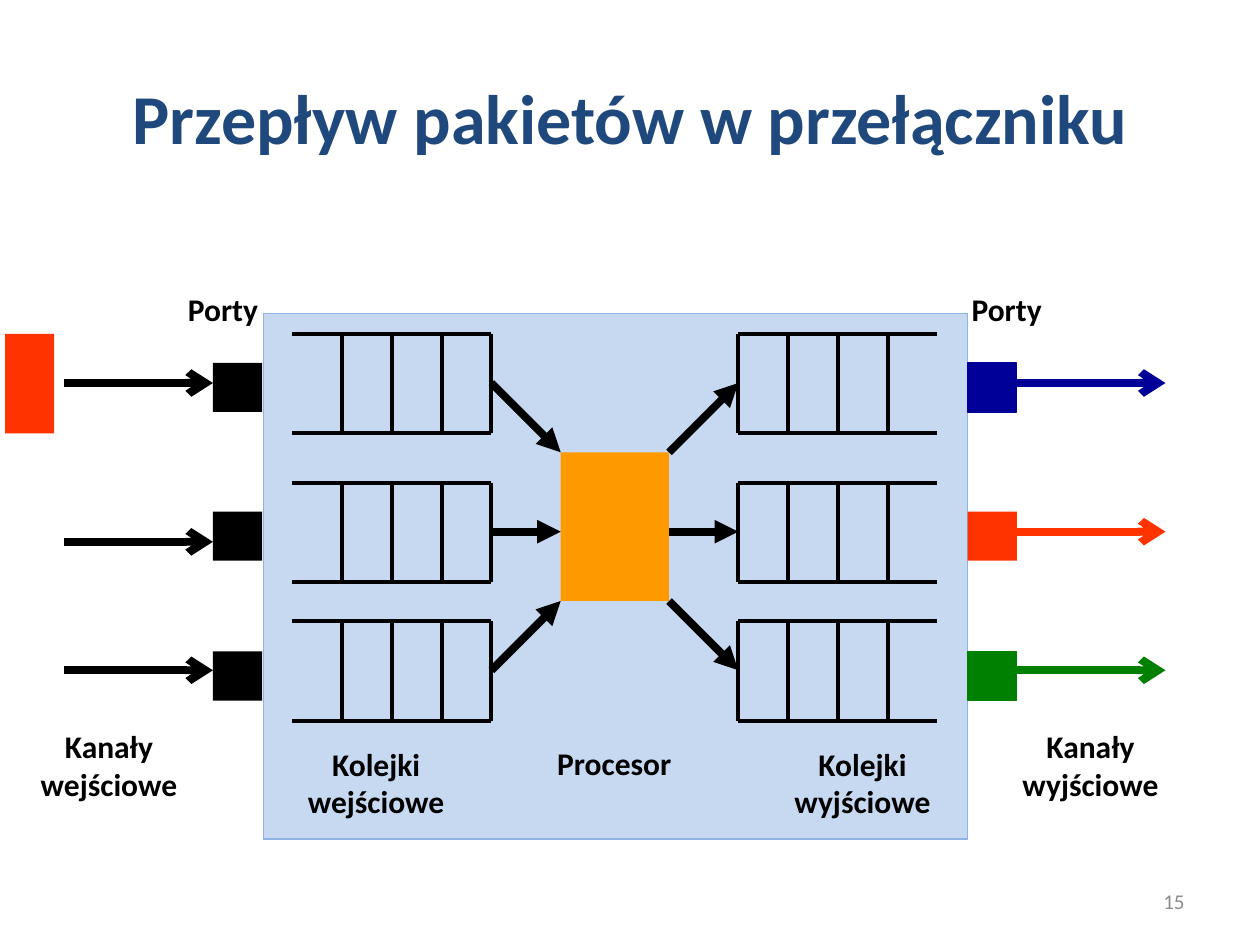
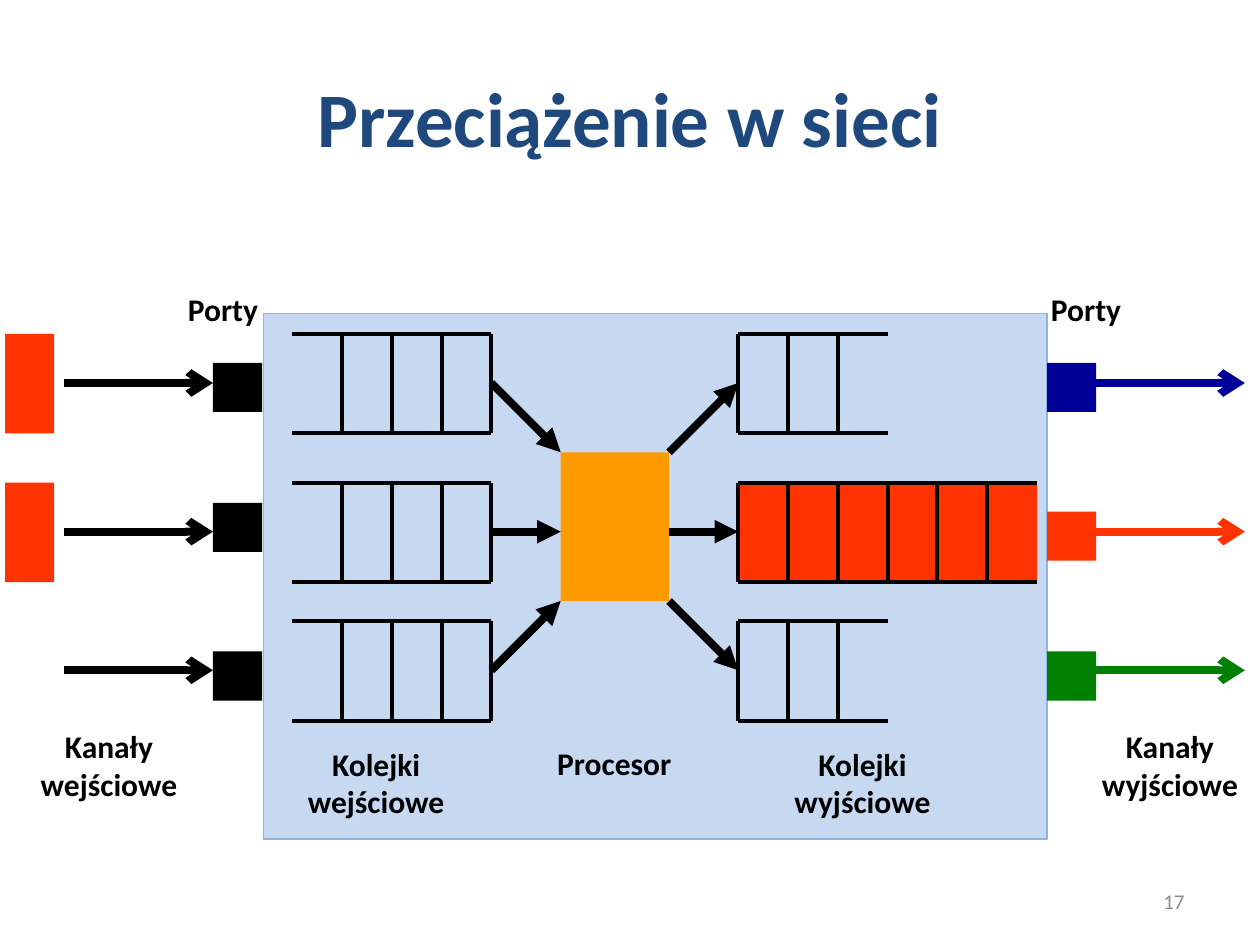
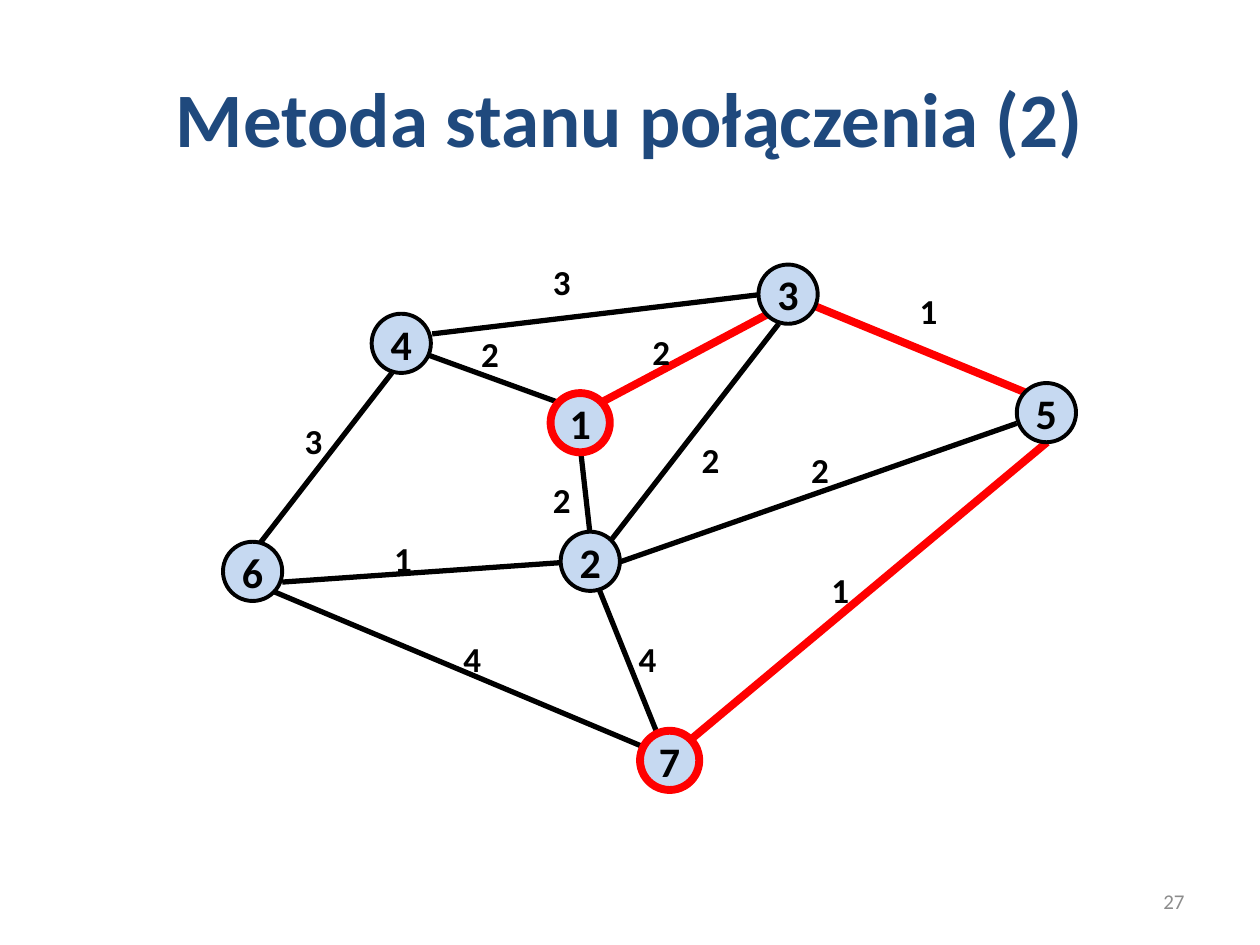
from dataclasses import dataclass

from lxml.etree import SubElement
from pptx import Presentation
from pptx.dml.color import RGBColor
from pptx.enum.shapes import MSO_CONNECTOR, MSO_SHAPE
from pptx.enum.text import MSO_ANCHOR, PP_ALIGN
from pptx.oxml.ns import qn
from pptx.presentation import Presentation as Deck
from pptx.shapes.autoshape import Shape
from pptx.shapes.shapetree import _BaseGroupShapes as Shapes
from pptx.slide import Slide
from pptx.text.text import TextFrame
from pptx.util import Inches, Pt

FONT = "Calibri"
NAVY = RGBColor(0x1F, 0x49, 0x7D)
PALE = RGBColor(0xC6, 0xD9, 0xF1)
SKY = RGBColor(0x8E, 0xB4, 0xE3)
GREY = RGBColor(0x8C, 0x8C, 0x8C)
BLACK = RGBColor(0x00, 0x00, 0x00)
BLUE = RGBColor(0x00, 0x00, 0x99)
GREEN = RGBColor(0x00, 0x80, 0x00)
FLAME = RGBColor(0xFF, 0x33, 0x00)
AMBER = RGBColor(0xFF, 0x99, 0x00)
RED = RGBColor(0xFF, 0x00, 0x00)

Point = tuple[float, float]
Frame = tuple[float, float, float, float]

CELL = 1.58 / 4
TALL = 0.79
PORT = 0.39
SPAN = 1.18
NODE = 0.47
LEFT = 2.09
QUEUE_IN = 2.32
QUEUE_OUT = 5.86
CORE: Frame = (4.45, 3.59, 0.86, 1.18)
ROWS = (2.65, 3.83, 4.93)
MIDS = (3.04, 4.22, 5.32)
PORTS = (2.88, 4.06, 5.17)
JOINS = (3.59, 4.22, 4.77)
HUES = (BLUE, FLAME, GREEN)


@dataclass(frozen=True)
class Switch:
    title: str
    size: int
    page: int
    edge: float
    ports: tuple[float, ...]
    feeds: tuple[float, ...]
    cells: tuple[int, ...]
    packets: tuple[float, ...]
    lined: tuple[RGBColor, ...] = ()
    full: int | None = None


@dataclass(frozen=True)
class Link:
    start: Point
    end: Point
    cost: str
    spot: Point
    hot: bool = False


@dataclass(frozen=True)
class Node:
    name: str
    spot: Point
    hot: bool = False


SWITCHES = (
    Switch("Przepływ pakietów w przełączniku", 40, 15, 7.68, PORTS,
           (3.04, 4.3, 5.32), (4, 4, 4), ROWS[:1], lined=(BLUE, GREEN)),
    Switch("Przeciążenie w sieci", 44, 17, 8.31, (2.88, 3.99, 5.17),
           MIDS, (3, 6, 3), ROWS[:2], full=1),
)

LINKS = (
    Link((3.35, 2.8), (4.45, 3.2), "2", (3.72, 2.59)),
    Link((4.61, 3.59), (4.69, 4.3), "2", (4.29, 3.75)),
    Link((6.18, 2.57), (4.84, 4.3), "2", (5.47, 3.43)),
    Link((3.11, 2.96), (2.01, 4.38), "3", (2.32, 3.28)),
    Link((6.1, 2.33), (3.43, 2.65), "3", (4.29, 2.02)),
    Link((4.53, 4.46), (2.24, 4.62), "1", (3.03, 4.22)),
    Link((8.07, 3.36), (4.92, 4.46), "2", (6.34, 3.51)),
    Link((5.24, 5.88), (4.76, 4.69), "4", (4.97, 5.01)),
    Link((5.16, 5.95), (2.16, 4.69), "4", (3.58, 5.01)),
    Link((4.76, 3.2), (6.1, 2.49), "2", (5.08, 2.57), hot=True),
    Link((8.15, 3.12), (6.42, 2.41), "1", (7.2, 2.25), hot=True),
    Link((8.31, 3.51), (5.47, 5.88), "1", (6.5, 4.46), hot=True),
)

NODES = (
    Node("1", (4.37, 3.12), hot=True),
    Node("2", (4.45, 4.22)),
    Node("3", (6.02, 2.1)),
    Node("4", (2.95, 2.49)),
    Node("5", (8.07, 3.04)),
    Node("6", (1.77, 4.3)),
    Node("7", (5.08, 5.8), hot=True),
)


def write(frame: TextFrame, text: str, size: int, hue: RGBColor = BLACK,
          bold: bool = True, align: PP_ALIGN = PP_ALIGN.CENTER) -> None:
    line = frame.paragraphs[0]
    line.alignment = align
    run = line.add_run()
    run.text = text
    run.font.name = FONT
    run.font.size = Pt(size)
    run.font.bold = bold
    run.font.color.rgb = hue


def label(slide: Slide, at: Frame, text: str, size: int = 18,
          wrap: bool = True, align: PP_ALIGN = PP_ALIGN.CENTER) -> None:
    frame = slide.shapes.add_textbox(*map(Inches, at)).text_frame
    frame.word_wrap = wrap
    write(frame, text, size, align=align)


def block(shapes: Shapes, at: Frame, fill: RGBColor,
          edge: RGBColor | None = None, width: float = 0.75,
          kind: MSO_SHAPE = MSO_SHAPE.RECTANGLE) -> Shape:
    shape = shapes.add_shape(kind, *map(Inches, at))
    shape.shadow.inherit = False
    shape.fill.solid()
    shape.fill.fore_color.rgb = fill
    if edge is None:
        shape.line.fill.background()
    else:
        shape.line.color.rgb = edge
        shape.line.width = Pt(width)
    return shape


def stroke(shapes: Shapes, start: Point, end: Point, hue: RGBColor = BLACK,
           width: float = 4.5, head: str | None = None) -> None:
    line = shapes.add_connector(MSO_CONNECTOR.STRAIGHT, *map(Inches, start + end))
    line.line.color.rgb = hue
    line.line.width = Pt(width)
    if head:
        SubElement(line.line._get_or_add_ln(), qn("a:tailEnd"), type=head)
    SubElement(line._element.spPr, qn("a:effectLst"))


def queue(slide: Slide, left: float, top: float, cells: int,
          first: int = 0, full: bool = False) -> None:
    shapes = slide.shapes.add_group_shape().shapes
    if full:
        for step in range(cells):
            block(shapes, (left + step * CELL, top, CELL, TALL), FLAME)
    for y in (top, top + TALL):
        stroke(shapes, (left, y), (left + cells * CELL, y), width=2.25)
    for step in range(first, first + cells):
        x = left + step * CELL
        stroke(shapes, (x, top), (x, top + TALL), width=2.25)


def start_slide(deck: Deck, title: str, size: int, page: int) -> Slide:
    slide = deck.slides.add_slide(deck.slide_layouts[5])
    head = slide.shapes.title
    head.left, head.top, head.width, head.height = map(Inches, (0.5, 0.3, 9, 1.25))
    head.text_frame.vertical_anchor = MSO_ANCHOR.MIDDLE
    write(head.text_frame, title, size, NAVY)
    foot = slide.shapes.add_textbox(*map(Inches, (7.17, 6.95, 2.33, 0.4))).text_frame
    foot.word_wrap = True
    foot.vertical_anchor = MSO_ANCHOR.MIDDLE
    write(foot, str(page), 12, GREY, False, PP_ALIGN.RIGHT)
    return slide


def draw_switch(deck: Deck, plan: Switch) -> None:
    slide = start_slide(deck, plan.title, plan.size, plan.page)
    shapes = slide.shapes
    edge = plan.edge
    block(shapes, (LEFT, 2.49, edge - LEFT, 4.17), PALE, SKY)
    block(shapes, CORE, AMBER)
    core_left, core_right = CORE[0], CORE[0] + CORE[2]
    door = LEFT - 0.4
    exit = edge + PORT

    for row, (top, mid, join, hue) in enumerate(zip(ROWS, MIDS, JOINS, HUES)):
        block(shapes, (door, plan.ports[row], PORT, PORT), BLACK)
        block(shapes, (edge, PORTS[row], PORT, PORT), hue,
              hue if hue in plan.lined else None)
        queue(slide, QUEUE_IN, top, 4, first=1)
        queue(slide, QUEUE_OUT, top, plan.cells[row], full=row == plan.full)
        feed = plan.feeds[row]
        stroke(shapes, (door - SPAN, feed), (door, feed), head="arrow")
        stroke(shapes, (exit, mid), (exit + SPAN, mid), hue, head="arrow")
        stroke(shapes, (QUEUE_IN + 4 * CELL, mid), (core_left, join), head="triangle")
        stroke(shapes, (core_right, join), (QUEUE_OUT, mid), head="triangle")

    for top in plan.packets:
        block(shapes, (0.04, top, PORT, TALL), FLAME)

    for at, text in (
        ((2.24, 5.86, 1.49, 0.71), "Kolejki wejściowe"),
        ((6.02, 5.86, 1.65, 0.71), "Kolejki wyjściowe"),
        ((4.13, 5.86, 1.49, 0.4), "Procesor"),
        ((1.14, 2.25, 1.26, 0.4), "Porty"),
        ((edge - 0.32, 2.25, 1.26, 0.4), "Porty"),
        ((0.12, 5.72, 1.49, 0.71), "Kanały wejściowe"),
        ((edge + 0.23, 5.72, 1.49, 0.71), "Kanały wyjściowe"),
    ):
        label(slide, at, text)


def draw_graph(deck: Deck) -> None:
    slide = start_slide(deck, "Metoda stanu połączenia (2)", 44, 27)
    for link in LINKS:
        stroke(slide.shapes, link.start, link.end,
               RED if link.hot else BLACK, 4.5 if link.hot else 3)
    for link in LINKS:
        label(slide, (*link.spot, 0.34, 0.44), link.cost, 20, False, PP_ALIGN.LEFT)
    for node in NODES:
        disc = block(slide.shapes, (*node.spot, NODE, NODE), PALE,
                     RED if node.hot else BLACK, 4.5 if node.hot else 2.25,
                     MSO_SHAPE.OVAL)
        disc.text_frame.word_wrap = False
        disc.text_frame.vertical_anchor = MSO_ANCHOR.MIDDLE
        write(disc.text_frame, node.name, 24)


def main() -> None:
    deck = Presentation()
    deck.slide_width, deck.slide_height = Inches(10), Inches(7.5)
    for plan in SWITCHES:
        draw_switch(deck, plan)
    draw_graph(deck)
    deck.save("out.pptx")


if __name__ == "__main__":
    main()
